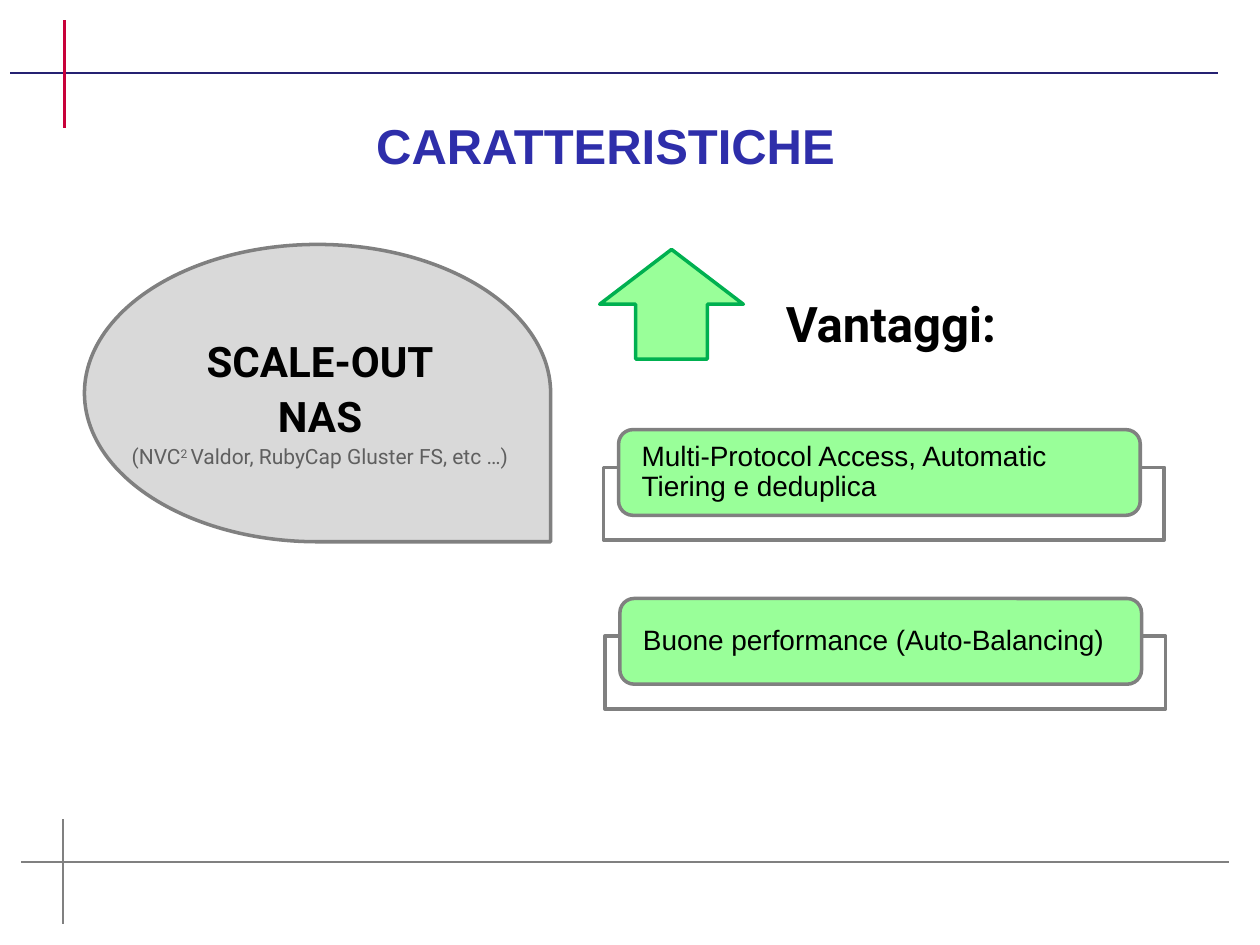
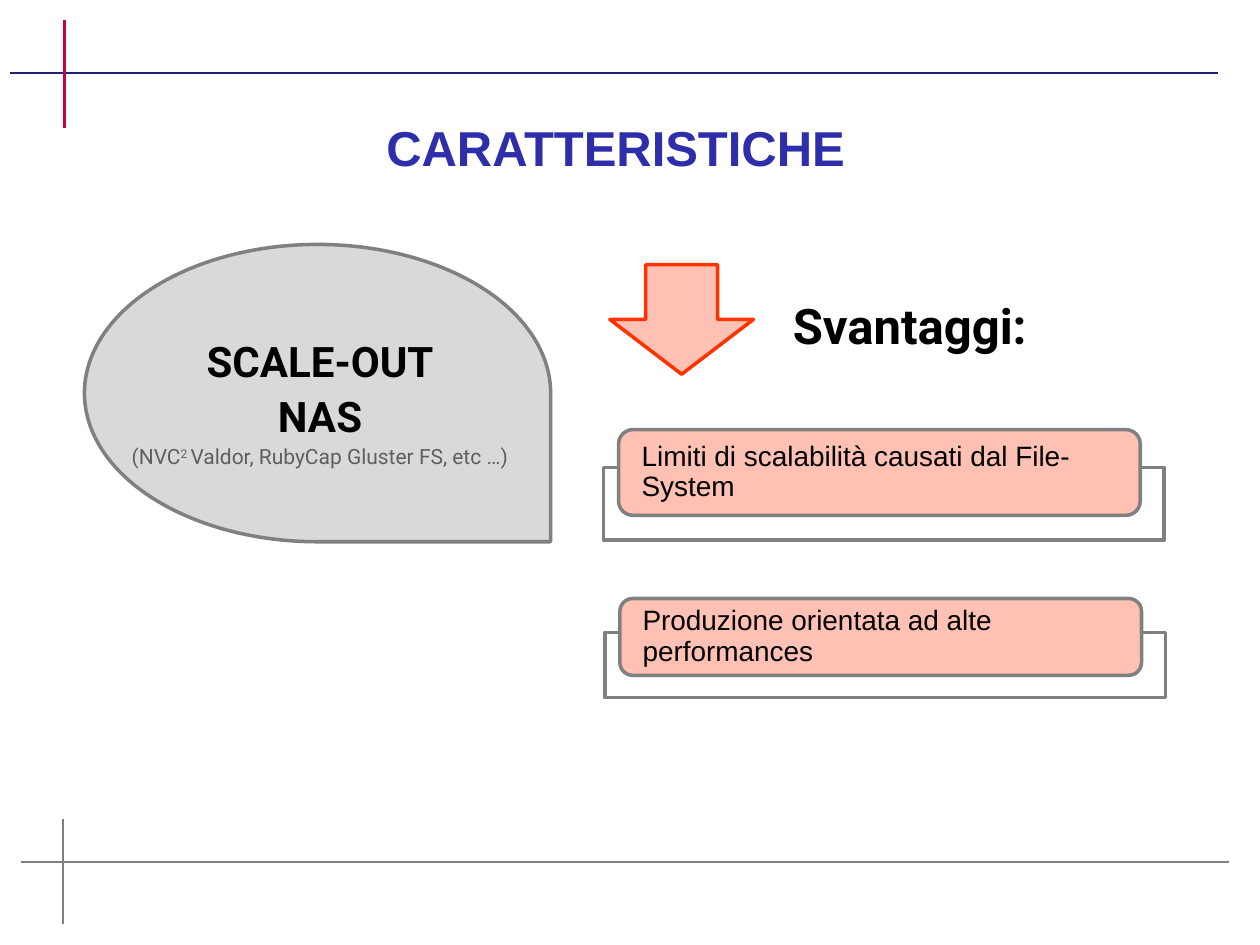
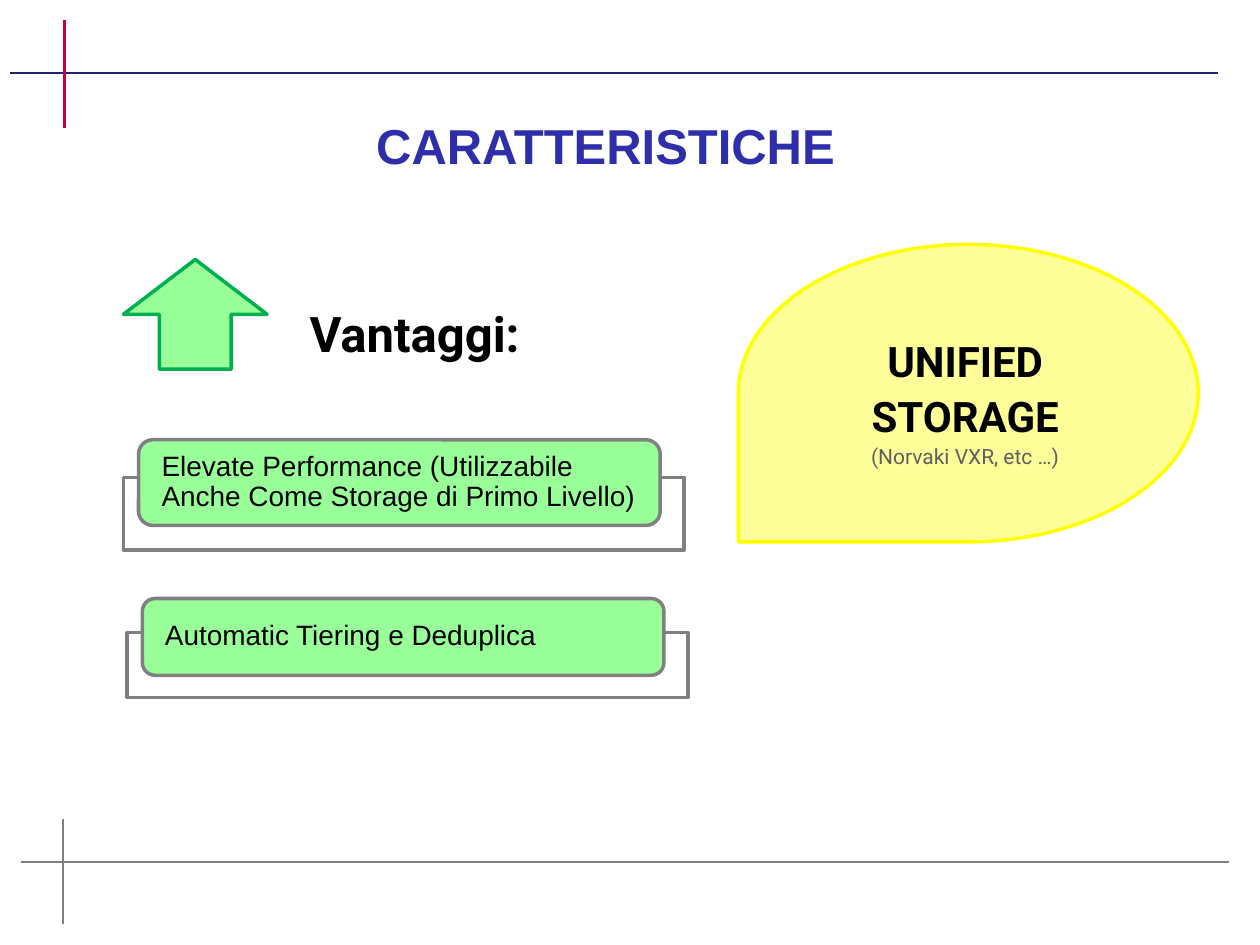
from lxml import etree
from pptx import Presentation
from pptx.dml.color import RGBColor
from pptx.enum.shapes import MSO_CONNECTOR, MSO_SHAPE
from pptx.enum.text import MSO_ANCHOR, PP_ALIGN
from pptx.oxml.ns import qn
from pptx.util import Inches, Pt

STRAIGHT = MSO_CONNECTOR.STRAIGHT
RECTANGLE, ROUNDED = MSO_SHAPE.RECTANGLE, MSO_SHAPE.ROUNDED_RECTANGLE
TEARDROP, UP_ARROW = MSO_SHAPE.TEAR, MSO_SHAPE.UP_ARROW
CENTER, LEFT = PP_ALIGN.CENTER, PP_ALIGN.LEFT
MIDDLE = MSO_ANCHOR.MIDDLE

GREY, NAVY, RED = "808080", "252172", "C8013A"
WHITE, BLACK, CAPTION, TITLE = "FFFFFF", "000000", "5F5F5F", "2E2EAA"
GREEN, GREEN_EDGE = "99FF99", "00B050"
PINK, PINK_EDGE = "FFC1B3", "FF3300"

RULES = [
    (0.17, 6.84, 9.75, 6.84, GREY, 1.25),
    (0.5, 6.5, 0.5, 7.33, GREY, 1.25),
    (0.08, 0.58, 9.67, 0.58, NAVY, 1.5),
    (0.51, 0.16, 0.51, 1.02, RED, 1.5),
]
SCALE_OUT = ["SCALE-OUT", "NAS"]
SCALE_OUT_MAKERS = [("(NVC", 0), ("2 ", 30000), ("Valdor, RubyCap Gluster FS, etc …)", 0)]


def color(value):
    """Turn a hex string into a colour."""
    return RGBColor.from_string(value)


def add_rule(page, x1, y1, x2, y2, stroke, weight):
    """Draw a straight line without shadow."""
    rule = page.shapes.add_connector(STRAIGHT, Inches(x1), Inches(y1), Inches(x2), Inches(y2))
    rule.line.color.rgb = color(stroke)
    rule.line.width = Pt(weight)
    etree.SubElement(rule._element.spPr, qn("a:effectLst"))


def add_figure(page, kind, left, top, width, height, fill, stroke, rotation=0):
    """Draw a filled preset shape with a 2 pt outline."""
    figure = page.shapes.add_shape(kind, Inches(left), Inches(top), Inches(width), Inches(height))
    figure.shadow.inherit = False
    figure.fill.solid()
    figure.fill.fore_color.rgb = color(fill)
    figure.line.color.rgb = color(stroke)
    figure.line.width = Pt(2)
    figure.rotation = rotation
    return figure


def add_text_box(page, left, top, width, height):
    """Add a wrapping text box and return its frame."""
    box = page.shapes.add_textbox(Inches(left), Inches(top), Inches(width), Inches(height))
    box.text_frame.word_wrap = True
    return box.text_frame


def style(para, font, size, fill, bold=False, align=CENTER, spacing=1.1):
    """Set the font and layout of a paragraph."""
    para.alignment = align
    para.line_spacing = spacing
    para.font.name = font
    para.font.size = Pt(size)
    para.font.bold = bold
    para.font.color.rgb = color(fill)


def add_line(page, words, font, fill, left, top, width):
    """Add one centred bold 28 pt line."""
    para = add_text_box(page, left, top, width, 0.58).paragraphs[0]
    para.text = words
    style(para, font, 28, fill, bold=True)


def add_page(deck, title_left=1.3, title_top=0.82):
    """Add a page with the shared rules and title."""
    page = deck.slides.add_slide(deck.slide_layouts[6])
    for rule in RULES:
        add_rule(page, *rule)
    add_line(page, "CARATTERISTICHE", "Arial", TITLE, title_left, title_top, 7.01)
    return page


def add_topic(page, left, top, width, height, names, makers, fill, stroke, rotation, indent):
    """Draw a teardrop filling the box, with its names and a caption of makers."""
    across, down = (height, width) if rotation == 90 else (width, height)
    add_figure(page, TEARDROP, left + (width - across) / 2, top + (height - down) / 2,
               across, down, fill, stroke, rotation)
    frame = add_text_box(page, left + indent, top + 0.63, 3.42, 1.21)
    for index, name in enumerate(names):
        para = frame.add_paragraph() if index else frame.paragraphs[0]
        para.text = name
        style(para, "Roboto", 24, BLACK, bold=True)
    para = frame.add_paragraph()
    style(para, "Roboto", 12, CAPTION)
    for words, baseline in makers:
        span = para.add_run()
        span.text = words
        if baseline:
            span.font._element.set("baseline", str(baseline))


def add_heading(page, left, top, words, fill, stroke, rotation=0, text_dx=1.07, text_dy=0.25):
    """Draw an arrow with a heading beside it."""
    add_figure(page, UP_ARROW, left, top, 1.14, 0.87, fill, stroke, rotation)
    add_line(page, words, "Roboto", BLACK, left + text_dx, top + text_dy, 2.48)


def add_card(page, left, top, height, words, fill):
    """Draw a rounded label over a frame whose depth follows the label height."""
    frame = add_figure(page, RECTANGLE, left - 0.12, top + height * 0.44,
                       4.45, height * 0.85, WHITE, GREY)
    fill_color = frame._element.spPr.find(qn("a:solidFill"))[0]
    etree.SubElement(fill_color, qn("a:alpha"), val="90000")
    label = add_figure(page, ROUNDED, left, top, 4.14, height, fill, GREY)
    text = label.text_frame
    text.word_wrap = True
    text.vertical_anchor = MIDDLE
    text.margin_left = text.margin_right = Inches(0.15)
    text.margin_top = text.margin_bottom = 0
    text.paragraphs[0].text = words
    style(text.paragraphs[0], "Arial", 16, BLACK, align=LEFT, spacing=0.9)


def add_scale_out(page):
    """Draw the scale-out topic on the left."""
    add_topic(page, 0.67, 1.94, 3.7, 2.36, SCALE_OUT, SCALE_OUT_MAKERS, "D9D9D9", GREY, 90, 0.16)


def build_scale_out_pros(deck):
    """Build the page on the advantages of scale-out storage."""
    page = add_page(deck)
    add_scale_out(page)
    add_heading(page, 4.76, 1.98, "Vantaggi:", GREEN, GREEN_EDGE)
    add_card(page, 4.91, 3.41, 0.68, "Multi-Protocol Access, Automatic Tiering e deduplica", GREEN)
    add_card(page, 4.92, 4.75, 0.68, "Buone performance (Auto-Balancing)", GREEN)


def build_scale_out_cons(deck):
    """Build the page on the drawbacks of scale-out storage."""
    page = add_page(deck, 1.38, 0.84)
    add_scale_out(page)
    add_heading(page, 4.84, 2.1, "Svantaggi:", PINK, PINK_EDGE, 180, 1.14, 0.15)
    add_card(page, 4.91, 3.41, 0.68, "Limiti di scalabilità causati dal File-System", PINK)
    add_card(page, 4.92, 4.75, 0.61, "Produzione orientata ad alte performances", PINK)


def build_unified_pros(deck):
    """Build the page on the advantages of unified storage."""
    page = add_page(deck)
    add_heading(page, 0.98, 2.06, "Vantaggi:", GREEN, GREEN_EDGE)
    add_card(page, 1.1, 3.49, 0.68,
             "Elevate Performance (Utilizzabile Anche Come Storage di Primo Livello)", GREEN)
    add_card(page, 1.13, 4.75, 0.61, "Automatic Tiering e Deduplica", GREEN)
    add_topic(page, 5.86, 1.94, 3.65, 2.36, ["UNIFIED", "STORAGE"],
              [("(Norvaki VXR, etc …)", 0)], "FFFF99", "FFFF00", 180, 0.09)


def main():
    """Build and save the deck."""
    deck = Presentation()
    deck.slide_width, deck.slide_height = Inches(10), Inches(7.5)
    build_scale_out_pros(deck)
    build_scale_out_cons(deck)
    build_unified_pros(deck)
    deck.save("out.pptx")


if __name__ == "__main__":
    main()
